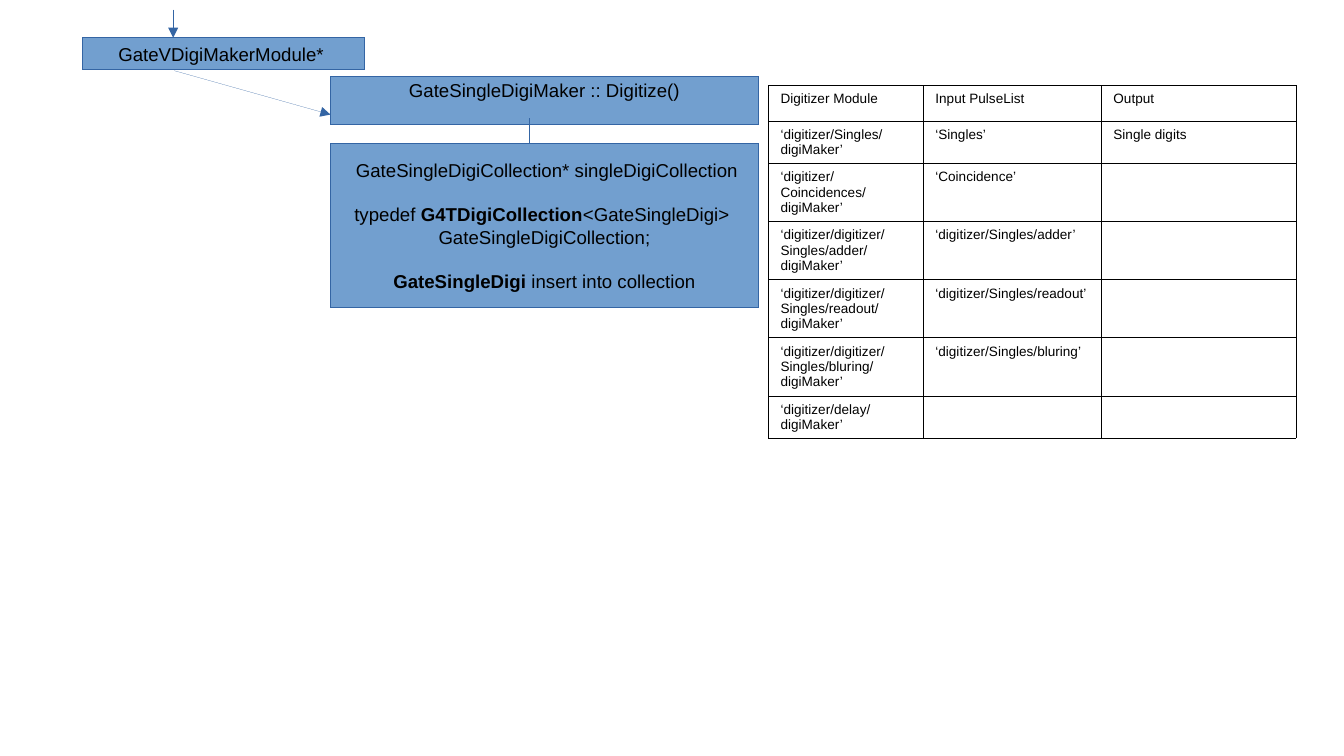
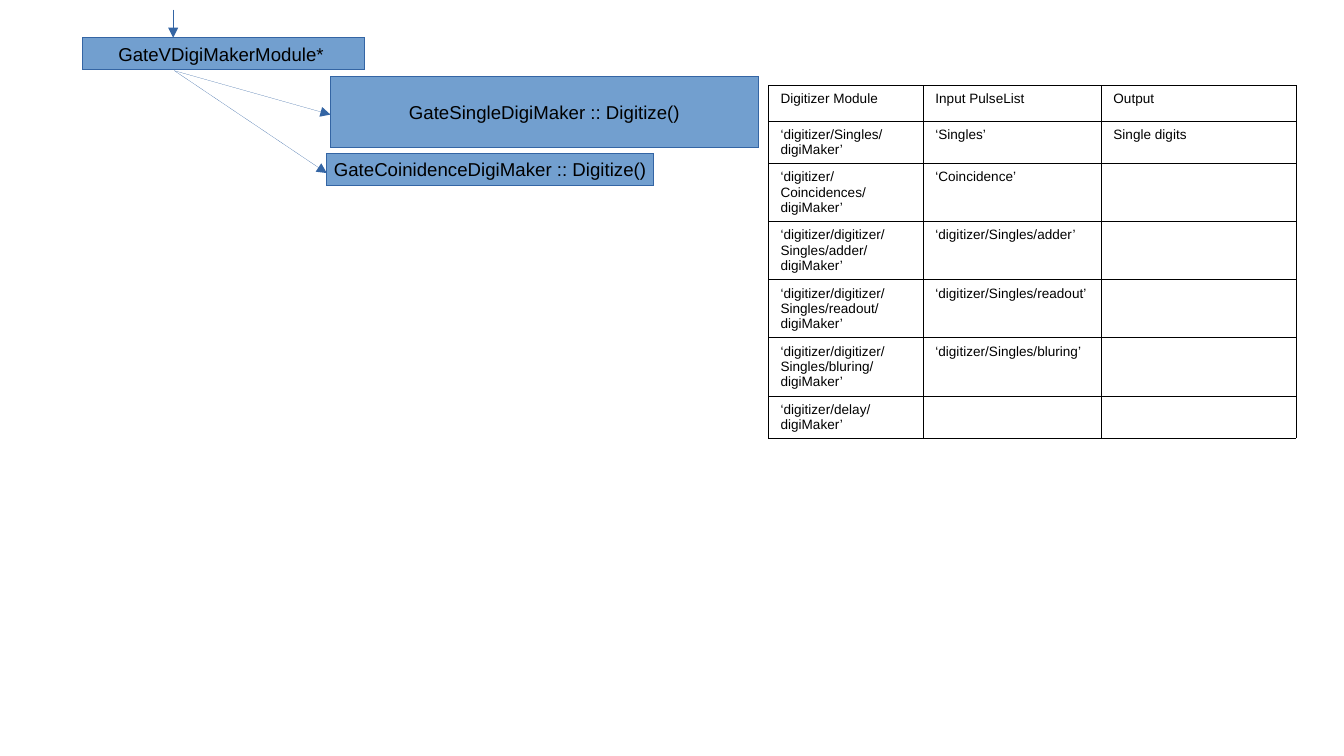
import dataclasses

import lxml.etree
import pptx
import pptx.dml.color
import pptx.enum.shapes
import pptx.enum.text
import pptx.oxml.ns
import pptx.util

qn = pptx.oxml.ns.qn
ANCHOR = pptx.enum.text.MSO_ANCHOR
ALIGN = pptx.enum.text.PP_ALIGN


@dataclasses.dataclass(frozen=True)
class Theme:
    font: str = "Arial"
    text: str = "000000"
    box_fill: str = "729FCF"
    box_line: str = "3465A4"
    cell_fill: str = "FFFFFF"
    box_size: float = 11
    table_size: float = 8
    paragraph_gap: float = 13
    hairline: float = 0.01
    border: float = 0.06


THEME = Theme()

# The slide is a grid of square modules, ten to the inch.
COLUMNS, ROWS = 110.2, 62
MODULE = pptx.util.Inches(0.1)

MODULE_BOX = (6.8, 3.1, 23.1, 2.6)
SINGLE_LEFT, SINGLE_TOP, SINGLE_WIDTH = 27.1, 6.3, 35.1
FAN_START = (14.3, 5.8)
TABLE_ORIGIN = (63, 7)
TABLE_COLUMNS = (12.7, 14.6, 16)
TABLE_ROWS = (2.9, 3.5, 4.75, 4.75, 4.75, 4.75, 3.5)
TABLE_TEXT = (
    ("Digitizer Module", "Input PulseList", "Output"),
    ("‘digitizer/Singles/digiMaker’", "‘Singles’", "Single digits"),
    ("‘digitizer/Coincidences/digiMaker’", "‘Coincidence’", ""),
    ("‘digitizer/digitizer/Singles/adder/digiMaker’", "‘digitizer/Singles/adder’", ""),
    ("‘digitizer/digitizer/Singles/readout/digiMaker’", "‘digitizer/Singles/readout’", ""),
    ("‘digitizer/digitizer/Singles/bluring/digiMaker’", "‘digitizer/Singles/bluring’", ""),
    ("‘digitizer/delay/digiMaker’", "", ""),
)
SINGLE_DIGITIZE = "GateSingleDigiMaker :: Digitize()"


def grid(*counts):
    return [round(count * MODULE) for count in counts]


def color(value):
    return pptx.dml.color.RGBColor.from_string(value)


def apply(target, formats):
    for name, value in formats.items():
        setattr(target, name, value)


def paint(fill, value):
    fill.solid()
    fill.fore_color.rgb = color(value)


def style_line(line):
    paint(line.fill, THEME.box_line)
    line.width = pptx.util.Pt(THEME.hairline)


def add_run(paragraph, text, size, bold=False):
    run = paragraph.add_run()
    run.text = text
    apply(run.font, {"name": THEME.font, "size": pptx.util.Pt(size), "bold": bold})
    run.font.color.rgb = color(THEME.text)


def add_box(slide, place, paragraphs, **frame_formats):
    """Each paragraph is (gap before in points, [(text, bold), ...])."""
    shape = slide.shapes.add_shape(
        pptx.enum.shapes.MSO_SHAPE.RECTANGLE, *grid(*place))
    shape.shadow.inherit = False
    paint(shape.fill, THEME.box_fill)
    style_line(shape.line)
    frame = shape.text_frame
    apply(frame, {"word_wrap": False, "vertical_anchor": ANCHOR.MIDDLE, **frame_formats})
    for index, (gap, runs) in enumerate(paragraphs):
        paragraph = frame.add_paragraph() if index else frame.paragraphs[0]
        apply(paragraph, {"alignment": ALIGN.CENTER, "space_before": pptx.util.Pt(gap)})
        for text, bold in runs:
            add_run(paragraph, text, THEME.box_size, bold)


def add_label(slide, place, text, **frame_formats):
    add_box(slide, place, [(0, [(text, False)])], **frame_formats)


def add_arrow(slide, start, end):
    connector = slide.shapes.add_connector(
        pptx.enum.shapes.MSO_CONNECTOR.STRAIGHT, *grid(*start, *end))
    style_line(connector.line)
    lxml.etree.SubElement(connector.line._get_or_add_ln(), qn("a:tailEnd"), type="triangle")
    lxml.etree.SubElement(connector._element.spPr, qn("a:effectLst"))


def add_borders(cell):
    properties = cell._tc.get_or_add_tcPr()
    for side in ("lnL", "lnR", "lnT", "lnB"):
        line = lxml.etree.SubElement(
            properties, qn(f"a:{side}"), w=str(pptx.util.Pt(THEME.border)))
        fill = lxml.etree.SubElement(line, qn("a:solidFill"))
        lxml.etree.SubElement(fill, qn("a:srgbClr"), val=THEME.text)


def fill_cell(cell, text):
    add_borders(cell)
    paint(cell.fill, THEME.cell_fill)
    paragraph = cell.text_frame.paragraphs[0]
    if text:
        add_run(paragraph, text, THEME.table_size)
    else:
        lxml.etree.SubElement(
            paragraph._p, qn("a:endParaRPr"), sz=str(THEME.table_size * 100))


def add_module_table(slide):
    size = (sum(TABLE_COLUMNS), sum(TABLE_ROWS))
    table = slide.shapes.add_table(
        len(TABLE_ROWS), len(TABLE_COLUMNS), *grid(*TABLE_ORIGIN, *size)).table
    apply(table, {"first_row": False, "horz_banding": False})
    for column, width in zip(table.columns, grid(*TABLE_COLUMNS)):
        column.width = width
    for row, height, texts in zip(table.rows, grid(*TABLE_ROWS), TABLE_TEXT):
        row.height = height
        for cell, text in zip(row.cells, texts):
            fill_cell(cell, text)


def add_digitizer_slide(presentation, single_height, **frame_formats):
    """Everything the slides share; only the Digitize box varies."""
    slide = presentation.slides.add_slide(presentation.slide_layouts[6])
    add_label(slide, MODULE_BOX, "GateVDigiMakerModule* ")
    add_label(slide, (SINGLE_LEFT, SINGLE_TOP, SINGLE_WIDTH, single_height),
              SINGLE_DIGITIZE, **frame_formats)
    add_arrow(slide, FAN_START, (SINGLE_LEFT, 9.4))
    add_module_table(slide)
    add_arrow(slide, (14.2, 0.8), (14.2, MODULE_BOX[1]))
    return slide


def add_collection_slide(presentation):
    slide = add_digitizer_slide(
        presentation, 3.9, vertical_anchor=ANCHOR.TOP, margin_top=grid(0.2)[0])
    add_arrow(slide, (43.4, 9.7), (43.4, 12.6))
    add_box(slide, (SINGLE_LEFT, 11.8, SINGLE_WIDTH, 13.4), [
        (0, [(" GateSingleDigiCollection* singleDigiCollection", False)]),
        (THEME.paragraph_gap, [("typedef ", False), ("G4TDigiCollection", True),
                               ("<GateSingleDigi> ", False)]),
        (0, [("GateSingleDigiCollection;", False)]),
        (THEME.paragraph_gap, [("GateSingleDigi", True),
                               (" insert into collection", False)]),
    ])


def add_coincidence_slide(presentation):
    slide = add_digitizer_slide(presentation, 5.8)
    add_label(slide, (26.8, 12.6, 26.8, 2.6), "GateCoinidenceDigiMaker :: Digitize()")
    add_arrow(slide, FAN_START, (26.8, 14.2))


def main():
    presentation = pptx.Presentation()
    width, height = grid(COLUMNS, ROWS)
    apply(presentation, {"slide_width": width, "slide_height": height})
    add_collection_slide(presentation)
    add_coincidence_slide(presentation)
    presentation.save("out.pptx")


if __name__ == "__main__":
    main()
